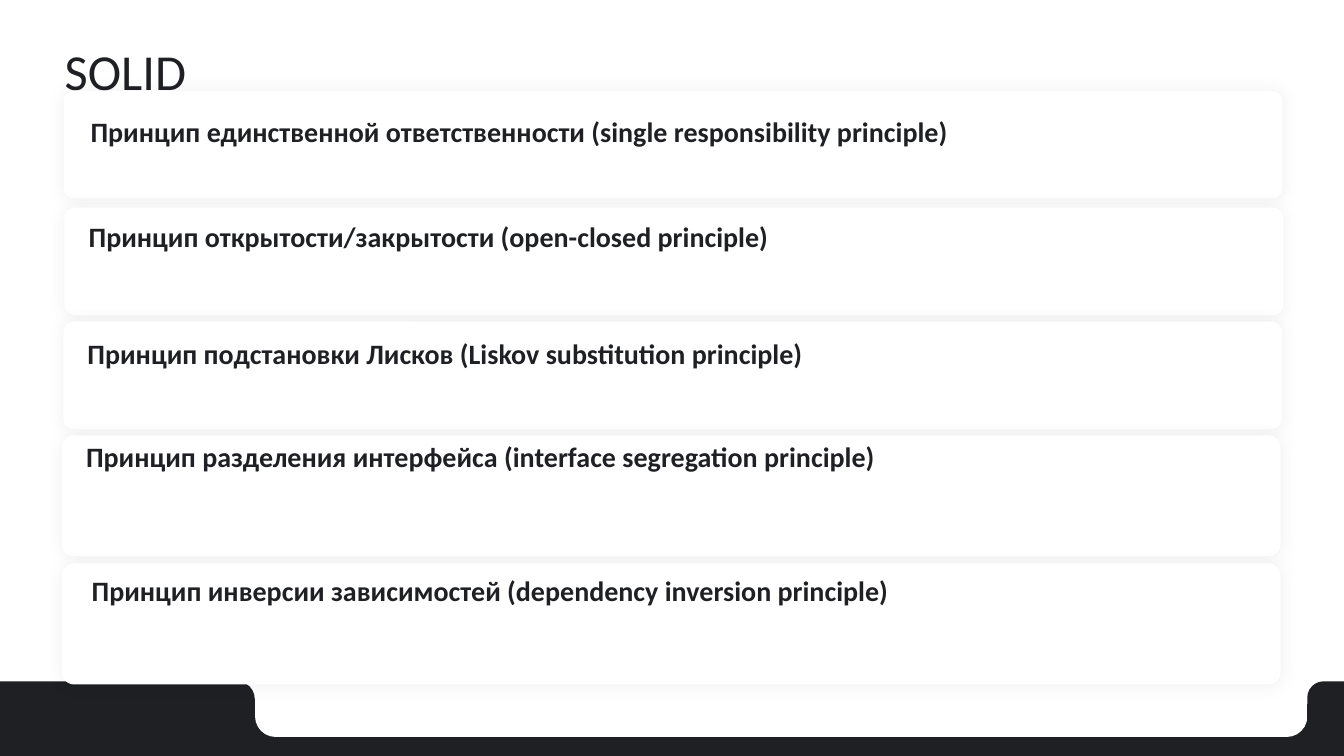
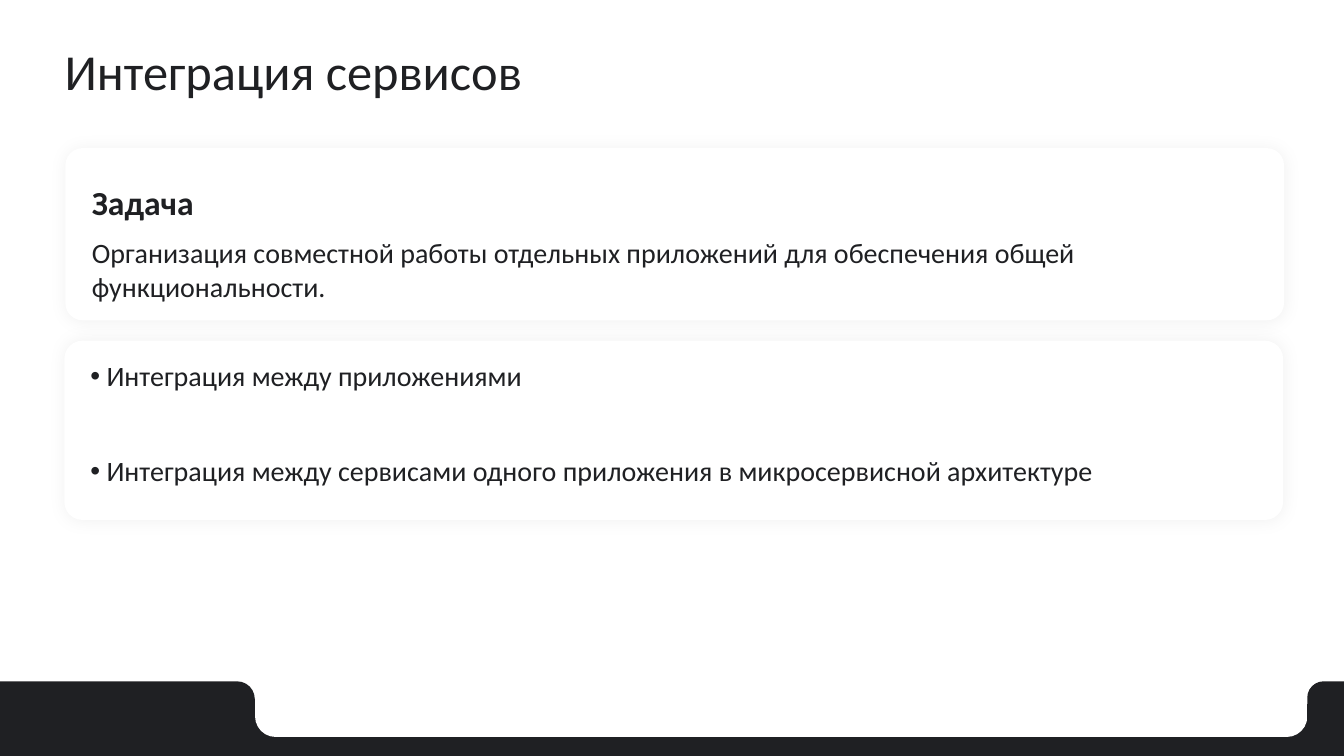
from lxml.etree import SubElement
from pptx import Presentation
from pptx.dml.color import RGBColor
from pptx.enum.shapes import MSO_SHAPE
from pptx.enum.text import MSO_ANCHOR, MSO_AUTO_SIZE, PP_ALIGN
from pptx.oxml.ns import qn
from pptx.util import Pt

INK = RGBColor(0x1F, 0x20, 0x23)
WHITE = RGBColor(0xFF, 0xFF, 0xFF)
FONT = "Calibri"
CARD_WIDTH = 870.5
TEXT_WIDTH = 829.5
CARD_CORNER = 0.1
BULLET_INDENT = 11.5

FOOTER_PARTS = [
    ((-21, 486.7, 203, 96.5), 0.13, INK),
    ((145.5, 510, 846, 73.5), 0.17, INK),
    ((182.2, 453, 751.6, 73.4), 0.2, WHITE),
    ((933.8, 486.7, 78, 96.5), 0.15, INK),
]

PRINCIPLES = [
    ((45.4, 64.8, 77), (12.2, 13.7),
     "Принцип единственной ответственности (single responsibility principle)"),
    ((46, 148.3, 77), (10.2, 5),
     "Принцип открытости/закрытости (open-closed principle)"),
    ((45.2, 229.7, 77), (10.2, 7.2),
     "Принцип подстановки Лисков (Liskov substitution principle)"),
    ((44.2, 311, 86.4), (10.2, -0.7),
     "Принцип разделения интерфейса (interface segregation principle)"),
    ((44.2, 402.5, 86.4), (14.2, 3.6),
     "Принцип инверсии зависимостей (dependency inversion principle)"),
]


def write(paragraph, text, size=20, bold=False, line_spacing=None,
          space_before=None, bullet=False):
    if bullet:
        properties = paragraph._p.get_or_add_pPr()
        properties.set("marL", str(Pt(BULLET_INDENT)))
        properties.set("indent", str(-Pt(BULLET_INDENT)))
        SubElement(properties, qn("a:buFont"), typeface="Arial")
        SubElement(properties, qn("a:buChar"), char="•")
    paragraph.alignment = PP_ALIGN.LEFT
    if line_spacing is not None:
        paragraph.line_spacing = line_spacing
    if space_before is not None:
        paragraph.space_before = Pt(space_before)
    run = paragraph.add_run()
    run.text = text
    run.font.name = FONT
    run.font.size = Pt(size)
    run.font.bold = bold
    run.font.color.rgb = INK


def add_text(slide, box, lines, gap=0, **style):
    frame = slide.shapes.add_textbox(*map(Pt, box)).text_frame
    frame.word_wrap = True
    for index, line in enumerate(lines):
        paragraph = frame.add_paragraph() if index else frame.paragraphs[0]
        write(paragraph, line, space_before=gap if index else None, **style)


def add_panel(slide, box, corner, color):
    panel = slide.shapes.add_shape(MSO_SHAPE.ROUNDED_RECTANGLE, *map(Pt, box))
    panel.adjustments[0] = corner
    panel.fill.solid()
    panel.fill.fore_color.rgb = color
    panel.line.fill.background()
    panel.shadow.inherit = False
    return panel


def add_card(slide, left, top, height):
    card = add_panel(slide, (left, top, CARD_WIDTH, height), CARD_CORNER, WHITE)
    effects = card.element.spPr.find(qn("a:effectLst"))
    glow = SubElement(effects, qn("a:outerShdw"), blurRad=str(Pt(12)),
                      dist="0", dir="0", algn="ctr", rotWithShape="0")
    tint = SubElement(glow, qn("a:srgbClr"), val="000000")
    SubElement(tint, qn("a:alpha"), val="6000")


def add_shared_footer(slide):
    layout = slide.slide_layout
    for placeholder in list(layout.placeholders):
        if placeholder.placeholder_format.idx:
            layout.shapes.element.remove(placeholder.element)
    parts = [add_panel(slide, *part) for part in FOOTER_PARTS]
    for part in parts:
        layout.shapes.element.append(part.element)


def add_titled_slide(deck, heading):
    slide = deck.slides.add_slide(deck.slide_layouts[5])
    title = slide.shapes.title
    title.left, title.top, title.width, title.height = map(Pt, (39, 28, 828, 50))
    frame = title.text_frame
    frame.auto_size = MSO_AUTO_SIZE.NONE
    frame.vertical_anchor = MSO_ANCHOR.MIDDLE
    write(frame.paragraphs[0], heading, size=36, line_spacing=0.9)
    return slide


def add_principle(slide, card, offset, name):
    left, top, height = card
    add_card(slide, left, top, height)
    label_box = (left + offset[0], top + offset[1], TEXT_WIDTH, 31.5)
    add_text(slide, label_box, [name], bold=True)


def add_task(slide, left, top, height):
    add_card(slide, left, top, height)
    add_text(slide, (left + 11.8, top + 12.2, 246, 52), ["Задача"],
             size=24, bold=True, line_spacing=1.3)
    add_text(slide, (left + 11.8, top + 59, TEXT_WIDTH, 55.5),
             ["Организация совместной работы отдельных приложений "
              "для обеспечения общей функциональности."])


def add_integration_kinds(slide, left, top, height):
    add_card(slide, left, top, height)
    add_text(slide, (left + 11.5, top + 9.3, TEXT_WIDTH, 100),
             ["Интеграция между приложениями",
              "Интеграция между сервисами одного приложения "
              "в микросервисной архитектуре"],
             gap=44, bullet=True)


def build_principles(deck):
    slide = add_titled_slide(deck, "SOLID")
    add_shared_footer(slide)
    for principle in PRINCIPLES:
        add_principle(slide, *principle)


def build_integration(deck):
    slide = add_titled_slide(deck, "Интеграция сервисов")
    add_task(slide, 46.7, 105.8, 123)
    add_integration_kinds(slide, 46, 243.4, 128)


def main():
    deck = Presentation()
    deck.slide_width, deck.slide_height = Pt(960), Pt(540)
    build_principles(deck)
    build_integration(deck)
    deck.save("out.pptx")


if __name__ == "__main__":
    main()
